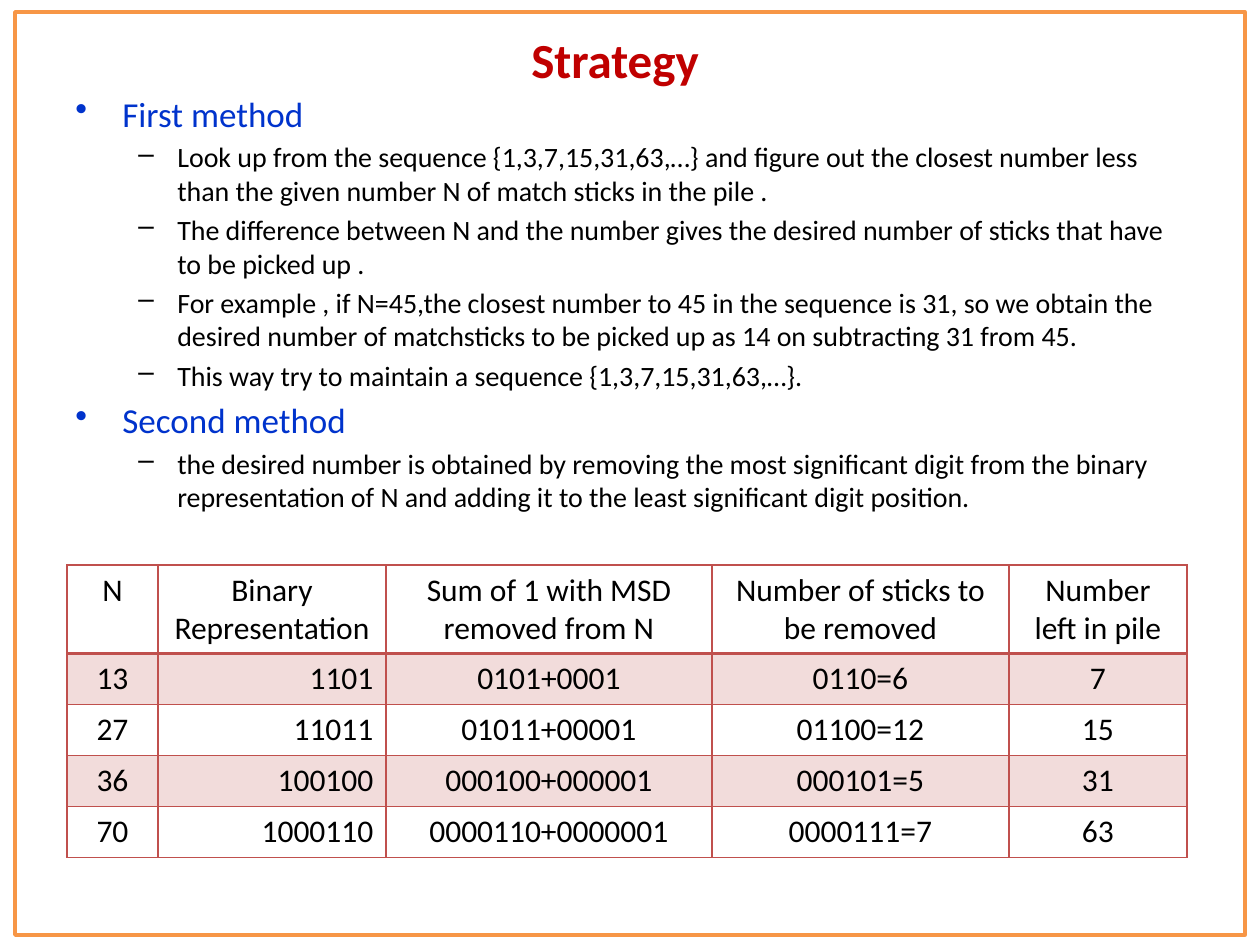
"""Build the Strategy slide with its two methods and worked table."""
from dataclasses import dataclass

from lxml.etree import SubElement
from pptx import Presentation
from pptx.dml.color import RGBColor
from pptx.enum.shapes import MSO_SHAPE as Shape
from pptx.enum.text import MSO_ANCHOR as Anchor, MSO_AUTO_SIZE as AutoSize, PP_ALIGN as Align
from pptx.oxml.ns import qn
from pptx.util import Emu, Pt

COLORS = {
    "title": "C00000",
    "method": "0033CC",
    "text": "000000",
    "table": "C0504D",
    "frame": "F79646",
}
FONT = "Calibri"
PX_PER_INCH = 126


@dataclass(frozen=True)
class Area:
    left: int
    top: int
    width: int
    height: int

    def emu(self) -> tuple:
        return tuple(map(px, (self.left, self.top, self.width, self.height)))


@dataclass(frozen=True)
class Level:
    bullet: str
    margin: int
    hanging: int
    size: int
    color: str


@dataclass(frozen=True)
class Method:
    name: str
    steps: tuple


@dataclass(frozen=True)
class Column:
    heading: str
    width: int
    values: tuple
    align: Align = Align.CENTER


METHOD_LEVEL = Level("•", 47, 47, 20, "method")
STEP_LEVEL = Level("–", 102, 39, 16, "text")
METHODS = (
    Method("First method", (
        "Look up from the sequence {1,3,7,15,31,63,…} and figure out the closest number less "
        "than the given number N of match sticks in the pile .",
        "The difference between N and the number gives the desired number of sticks that have "
        "to be picked up .",
        "For example , if N=45,the closest number to 45 in the sequence is 31, so we obtain the "
        "desired number of matchsticks to be picked up as 14 on subtracting 31 from 45.",
        "This way try to maintain a sequence {1,3,7,15,31,63,…}.",
    )),
    Method("Second method", (
        "the desired number is obtained by removing the most significant digit from the binary "
        "representation of N and adding it to the least significant digit position.",
    )),
)
COLUMNS = (
    Column("N", 91, ("13", "27", "36", "70")),
    Column("Binary Representation", 228, ("1101", "11011", "100100", "1000110"), Align.RIGHT),
    Column("Sum of 1 with MSD removed from N", 326,
           ("0101+0001", "01011+00001", "000100+000001", "0000110+0000001")),
    Column("Number of sticks to be removed", 297,
           ("0110=6", "01100=12", "000101=5", "0000111=7")),
    Column("Number left in pile", 178, ("7", "15", "31", "63")),
)
ROW_HEIGHTS = (87, 51, 51, 51, 51)


def px(length: int) -> Emu:
    return Emu(round(length * 914400 / PX_PER_INCH))


def rgb(name: str) -> RGBColor:
    return RGBColor.from_string(COLORS[name])


def write_text(para, text: str, *, size: int, color: str = "text",
               bold: bool = False, align: Align = Align.LEFT) -> None:
    para.alignment = align
    span = para.add_run()
    span.text = text
    span.font.name = FONT
    span.font.size = Pt(size)
    span.font.bold = bold
    span.font.color.rgb = rgb(color)


def add_title(slide, text: str, area: Area) -> None:
    title = slide.shapes.title
    title.left, title.top, title.width, title.height = area.emu()
    frame = title.text_frame
    frame.word_wrap = True
    frame.auto_size = AutoSize.NONE
    frame.vertical_anchor = Anchor.TOP
    write_text(frame.paragraphs[0], text, size=28, color="title", bold=True, align=Align.CENTER)


def add_methods(slide, area: Area) -> None:
    frame = slide.shapes.add_textbox(*area.emu()).text_frame
    frame.word_wrap = True
    lines = [
        line
        for method in METHODS
        for line in [(method.name, METHOD_LEVEL), *((step, STEP_LEVEL) for step in method.steps)]
    ]
    for index, (text, level) in enumerate(lines):
        para = frame.add_paragraph() if index else frame.paragraphs[0]
        props = para._p.get_or_add_pPr()
        props.set("marL", str(px(level.margin)))
        props.set("indent", str(-px(level.hanging)))
        SubElement(props, qn("a:buChar"), char=level.bullet)
        para.level = 1 if level is STEP_LEVEL else 0
        para.space_before = Pt(level.size * 0.2 if index else 0)
        write_text(para, text, size=level.size, color=level.color)


def set_borders(cell, widths: dict) -> None:
    props = cell._tc.get_or_add_tcPr()
    for side, width in widths.items():
        line = SubElement(props, qn(f"a:ln{side}"), w=str(Pt(width)))
        fill = SubElement(line, qn("a:solidFill"))
        SubElement(fill, qn("a:srgbClr"), val=COLORS["table"])


def shade(cell, banded: bool) -> None:
    if not banded:
        cell.fill.background()
        return
    cell.fill.solid()
    cell.fill.fore_color.rgb = rgb("table")
    color = cell._tc.tcPr.find(f"{qn('a:solidFill')}/{qn('a:srgbClr')}")
    SubElement(color, qn("a:alpha"), val="20000")


def add_examples(slide, left: int, top: int) -> None:
    area = Area(left, top, sum(column.width for column in COLUMNS), sum(ROW_HEIGHTS))
    table = slide.shapes.add_table(len(ROW_HEIGHTS), len(COLUMNS), *area.emu()).table
    table.first_row = table.horz_banding = False
    for row, height in zip(table.rows, ROW_HEIGHTS):
        row.height = px(height)
    for x, column in enumerate(COLUMNS):
        table.columns[x].width = px(column.width)
        for y, text in enumerate((column.heading, *column.values)):
            cell = table.cell(y, x)
            set_borders(cell, {"L": 1, "R": 1, "T": 2 if y == 1 else 1, "B": 1 if y else 2})
            shade(cell, y % 2 == 1)
            align = column.align if y else Align.CENTER
            write_text(cell.text_frame.paragraphs[0], text, size=18, align=align)


def add_frame(slide, area: Area) -> None:
    frame = slide.shapes.add_shape(Shape.RECTANGLE, *area.emu())
    frame.shadow.inherit = False
    frame.fill.background()
    frame.line.color.rgb = rgb("frame")
    frame.line.width = Pt(2)


def main() -> None:
    deck = Presentation()
    deck.slide_width, deck.slide_height = px(1260), px(945)
    page = deck.slides.add_slide(deck.slide_layouts[5])
    add_title(page, "Strategy", Area(300, 23, 630, 72))
    add_methods(page, Area(63, 86, 1134, 456))
    add_examples(page, 67, 565)
    add_frame(page, Area(15, 12, 1230, 923))
    deck.save("out.pptx")


if __name__ == "__main__":
    main()
